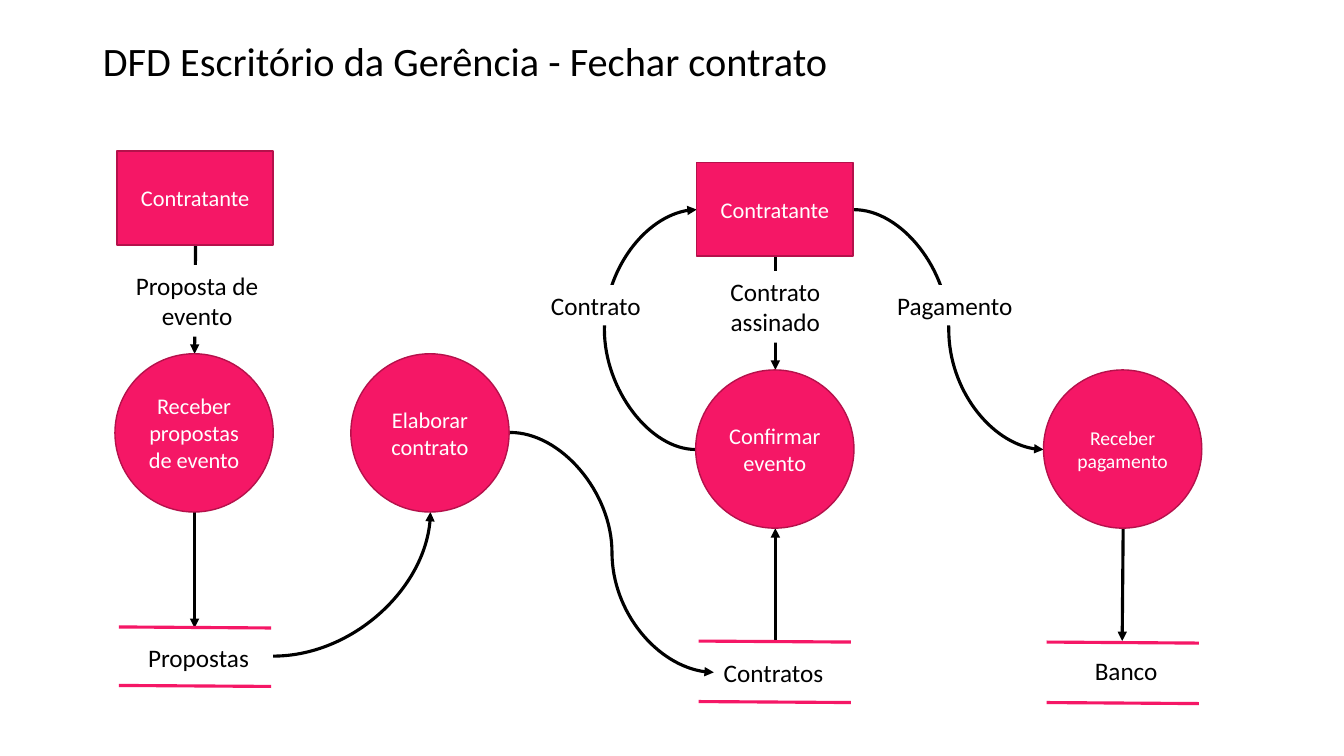
import pptx
import pptx.util
import pptx.dml.color
import pptx.enum.shapes
import pptx.enum.text
import pptx.oxml.ns
import lxml.etree

Inches = pptx.util.Inches
Pt = pptx.util.Pt
RGBColor = pptx.dml.color.RGBColor
SHAPE = pptx.enum.shapes.MSO_SHAPE
CONNECTOR = pptx.enum.shapes.MSO_CONNECTOR
ALIGN = pptx.enum.text.PP_ALIGN
ANCHOR = pptx.enum.text.MSO_ANCHOR
qn = pptx.oxml.ns.qn

PINK = RGBColor(0xF5, 0x17, 0x66)
DARK_PINK = RGBColor(0xB5, 0x11, 0x4B)
BLACK = RGBColor(0, 0, 0)
WHITE = RGBColor(0xFF, 0xFF, 0xFF)

FONT = "Calibri"
CIRCLE = 1.57
BOX_WIDTH, BOX_HEIGHT = 1.55, 0.93
STORE_WIDTH = 1.51


def write(frame, text, size=18, color=BLACK, align=ALIGN.CENTER,
          anchor=ANCHOR.TOP, wrap=True, spacing=None):
    frame.word_wrap = wrap
    frame.vertical_anchor = anchor
    paragraph = frame.paragraphs[0]
    paragraph.alignment = align
    paragraph.line_spacing = spacing
    run = paragraph.add_run()
    run.text = text
    run.font.name = FONT
    run.font.size = Pt(size)
    run.font.color.rgb = color


def add_title(slide, text):
    title = slide.shapes.title
    title.left, title.top = Inches(0.92), Inches(0.4)
    title.width, title.height = Inches(11.5), Inches(0.46)
    write(title.text_frame, text, size=28.8, align=ALIGN.LEFT,
          anchor=ANCHOR.MIDDLE, spacing=0.9)


def add_node(slide, kind, text, left, top, width, height, size=16):
    """Pink external entity or process."""
    node = slide.shapes.add_shape(kind, Inches(left), Inches(top),
                                  Inches(width), Inches(height))
    node.shadow.inherit = False
    node.fill.solid()
    node.fill.fore_color.rgb = PINK
    node.line.color.rgb = DARK_PINK
    node.line.width = Pt(1)
    write(node.text_frame, text, size=size, color=WHITE, anchor=ANCHOR.MIDDLE)


def add_entity(slide, left, top):
    add_node(slide, SHAPE.RECTANGLE, "Contratante", left, top,
             BOX_WIDTH, BOX_HEIGHT)


def add_process(slide, text, left, top, size=16):
    add_node(slide, SHAPE.OVAL, text, left, top, CIRCLE, CIRCLE, size)


def add_line(shapes, start, end, color=BLACK, kind=CONNECTOR.STRAIGHT):
    line = shapes.add_connector(kind, Inches(start[0]), Inches(start[1]),
                                Inches(end[0]), Inches(end[1]))
    line.line.color.rgb = color
    line.line.width = Pt(2.25)
    lxml.etree.SubElement(line._element.spPr, qn("a:effectLst"))
    return line


def add_flow(slide, start, end, kind=CONNECTOR.STRAIGHT, preset=None, bend=None):
    """Arrow; bend is the turning point as a fraction of the width."""
    flow = add_line(slide.shapes, start, end, kind=kind)
    lxml.etree.SubElement(flow.line._get_or_add_ln(), qn("a:tailEnd"),
                          type="triangle")
    geometry = flow._element.spPr.find(qn("a:prstGeom"))
    if preset:
        geometry.set("prst", preset)
    if bend is not None:
        guides = geometry.find(qn("a:avLst"))
        lxml.etree.SubElement(guides, qn("a:gd"), name="adj1",
                              fmla=f"val {round(bend * 100000)}")


def add_flow_label(slide, text, left, top, width, height):
    """White label that interrupts the arrow behind it."""
    label = slide.shapes.add_shape(SHAPE.RECTANGLE, Inches(left), Inches(top),
                                   Inches(width), Inches(height))
    label.shadow.inherit = False
    label.fill.solid()
    label.fill.fore_color.rgb = WHITE
    label.line.fill.background()
    write(label.text_frame, text)


def add_store(slide, text, left, top, bottom, text_left, text_top, text_width):
    """Data store: a name between two lines."""
    store = slide.shapes.add_group_shape().shapes
    for y in (top, bottom):
        add_line(store, (left, y), (left + STORE_WIDTH, y + 0.01), color=PINK)
    name = store.add_textbox(Inches(text_left), Inches(text_top),
                             Inches(text_width), Inches(0.4))
    write(name.text_frame, text, align=ALIGN.LEFT, wrap=False)


def main():
    deck = pptx.Presentation()
    deck.slide_width, deck.slide_height = Inches(13.33), Inches(7.5)
    slide = deck.slides.add_slide(deck.slide_layouts[5])
    add_title(slide, "DFD Escritório da Gerência - Fechar contrato")

    # Straight flows
    for start, end in (
        ((1.94, 2.43), (1.93, 3.51)),
        ((1.93, 5.08), (1.93, 6.23)),
        ((7.69, 2.55), (7.69, 3.67)),
        ((7.69, 6.36), (7.69, 5.24)),
        ((11.14, 5.24), (11.13, 6.36)),
    ):
        add_flow(slide, start, end)

    # Curved flows
    add_flow(slide, (2.71, 6.51), (4.27, 5.08), CONNECTOR.CURVE,
             preset="curvedConnector2")
    add_flow(slide, (5.06, 4.29), (7.08, 6.67), CONNECTOR.CURVE, bend=0.5)
    add_flow(slide, (8.47, 2.08), (10.35, 4.46), CONNECTOR.CURVE, bend=0.5)
    add_flow(slide, (6.9, 4.46), (6.91, 2.08), CONNECTOR.CURVE, bend=-92)

    # Flow labels
    add_flow_label(slide, "Proposta de evento", 1.14, 2.63, 1.63, 0.71)
    add_flow_label(slide, "Contrato assinado", 6.79, 2.69, 1.8, 0.71)
    add_flow_label(slide, "Contrato", 5.08, 2.83, 1.66, 0.4)
    add_flow_label(slide, "Pagamento", 8.64, 2.83, 1.66, 0.4)

    # Entities and processes
    add_entity(slide, 1.16, 1.5)
    add_entity(slide, 6.91, 1.61)
    add_process(slide, "Receber propostas de evento", 1.14, 3.51)
    add_process(slide, "Elaborar contrato", 3.48, 3.51)
    add_process(slide, "Confirmar evento", 6.9, 3.67)
    add_process(slide, "Receber pagamento", 10.35, 3.67, size=14)

    # Data stores
    add_store(slide, "Propostas", 1.18, 6.22, 6.8, 1.37, 6.32, 1.21)
    add_store(slide, "Contratos", 6.93, 6.36, 6.96, 7.08, 6.47, 1.2)
    add_store(slide, "Banco", 10.38, 6.37, 6.97, 10.76, 6.45, 0.83)

    deck.save("out.pptx")


if __name__ == "__main__":
    main()
